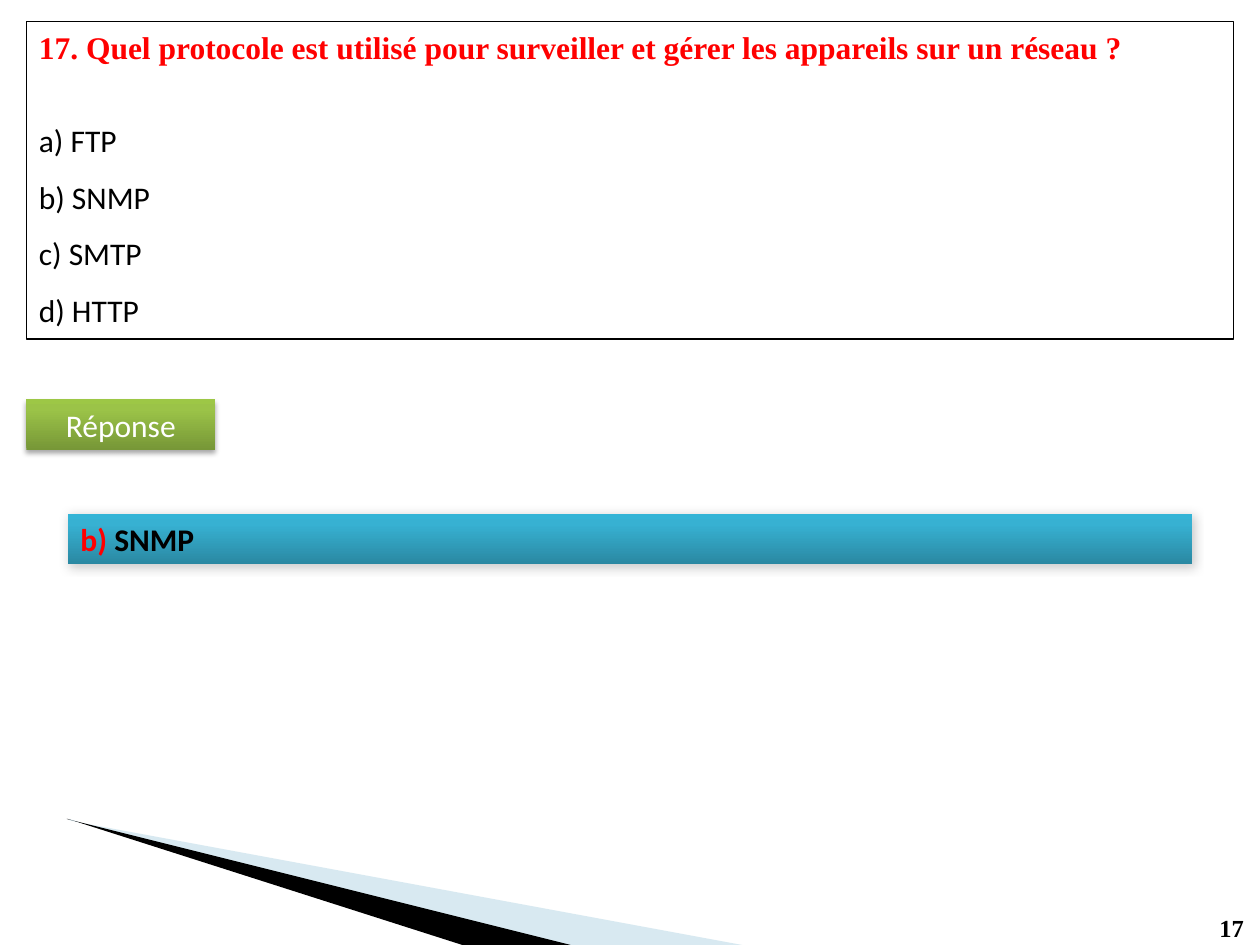
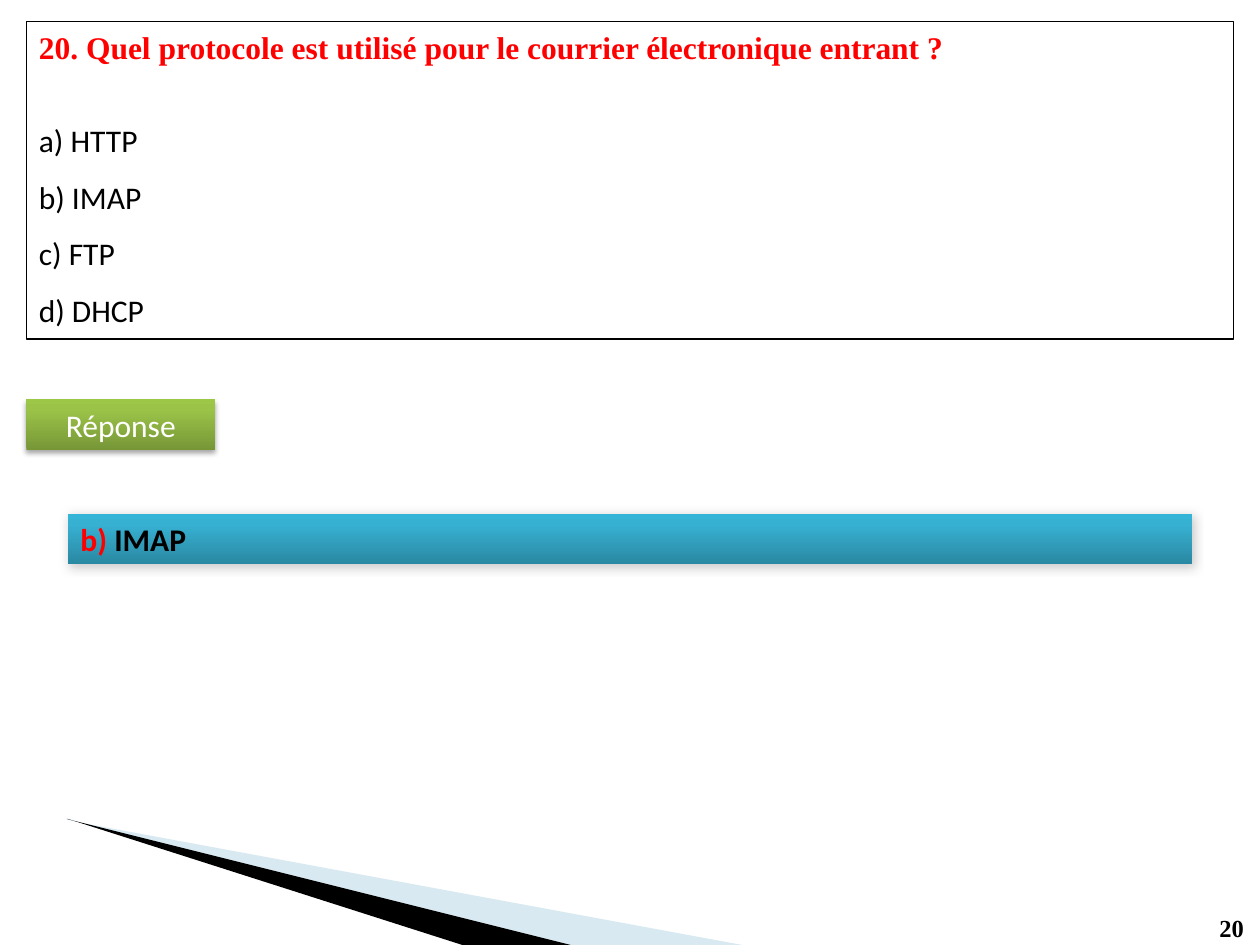
from copy import deepcopy

from lxml import etree
from pptx import Presentation
from pptx.dml.color import RGBColor
from pptx.enum.shapes import MSO_SHAPE
from pptx.enum.text import MSO_ANCHOR, PP_ALIGN
from pptx.oxml.ns import qn
from pptx.util import Inches, Pt

RECTANGLE = MSO_SHAPE.RECTANGLE
TOP = MSO_ANCHOR.TOP
LEFT, CENTER, JUSTIFY = PP_ALIGN.LEFT, PP_ALIGN.CENTER, PP_ALIGN.JUSTIFY

BLACK = RGBColor(0x00, 0x00, 0x00)
WHITE = RGBColor(0xFF, 0xFF, 0xFF)
RED = RGBColor(0xFF, 0x00, 0x00)
PALE_BLUE = RGBColor(0x9F, 0xCA, 0xDC)
GREENS = [RGBColor(0x77, 0x97, 0x37), RGBColor(0x9B, 0xC3, 0x48), RGBColor(0x9D, 0xC7, 0x46)]
BLUES = [RGBColor(0x2A, 0x88, 0xA2), RGBColor(0x37, 0xB1, 0xD2), RGBColor(0x34, 0xB4, 0xD6)]
GRADIENT_POSITIONS = [0, 0.8, 1]

BODY_FONT = "Calibri"
TITLE_FONT = "Times New Roman"

PALE_WEDGE = [
    [(0.64, 6.53), (4.51, 7.5), (5.89, 7.5)],
    [(0.55, 6.5), (0.55, 6.51), (0.64, 6.53)],
]
BLACK_WEDGE = [[(0.53, 6.5), (0.54, 6.5), (3.67, 7.5), (4.53, 7.5)]]

QUESTIONS = [
    (17, "Quel protocole est utilisé pour surveiller et gérer les appareils sur un réseau ?",
     ["FTP", "SNMP", "SMTP", "HTTP"], "b"),
    (20, "Quel protocole est utilisé pour le courrier électronique entrant ?",
     ["HTTP", "IMAP", "FTP", "DHCP"], "b"),
]


class QuizDeck:
    """Builds quiz slides that share one style."""

    def __init__(self):
        self.presentation = Presentation()
        self.presentation.slide_width = Inches(10)
        self.presentation.slide_height = Inches(7.5)
        self.slide = None

    def new_slide(self, number):
        self.slide = self.presentation.slides.add_slide(self.presentation.slide_layouts[6])
        self.wedge(PALE_WEDGE, PALE_BLUE, opacity=40)
        self.wedge(BLACK_WEDGE, BLACK)
        self.page_number(number)

    def wedge(self, contours, color, opacity=100):
        contours = [[(Inches(x), Inches(y)) for x, y in contour] for contour in contours]
        builder = self.slide.shapes.build_freeform(*contours[0][0])
        builder.add_line_segments(contours[0][1:], close=True)
        for contour in contours[1:]:
            builder.move_to(*contour[0])
            builder.add_line_segments(contour[1:], close=True)
        shape = builder.convert_to_shape()
        shape.shadow.inherit = False
        shape.line.fill.background()
        shape.fill.solid()
        shape.fill.fore_color.rgb = color
        if opacity < 100:
            rgb = shape._element.spPr.find(".//" + qn("a:srgbClr"))
            etree.SubElement(rgb, qn("a:alpha"), val=str(opacity * 1000))

    def page_number(self, number):
        box = self.slide.shapes.add_textbox(Inches(9.58), Inches(7.2), Inches(0.4), Inches(0.34))
        box.text_frame.word_wrap = True
        paragraph = box.text_frame.paragraphs[0]
        paragraph.text = str(number)
        self.style(paragraph.font, BLACK, 14, TITLE_FONT, bold=True)

    def style(self, font, color, size=18, name=BODY_FONT, bold=False):
        font.name, font.size, font.bold = name, Pt(size), bold
        font.color.rgb = color

    def rectangle(self, left, top, width, height):
        shape = self.slide.shapes.add_shape(
            RECTANGLE, Inches(left), Inches(top), Inches(width), Inches(height))
        shape.shadow.inherit = False
        shape.text_frame.vertical_anchor = TOP
        return shape

    def question(self, number, text, options):
        shape = self.rectangle(0.21, 0.17, 9.58, 2.52)
        shape.fill.background()
        shape.line.color.rgb = BLACK
        shape.line.width = Pt(0.75)
        frame = shape.text_frame
        title = frame.paragraphs[0]
        title.text = f"{number}. {text}"
        title.alignment = LEFT
        self.style(title.font, RED, name=TITLE_FONT, bold=True)
        for index, (letter, option) in enumerate(zip("abcd", options)):
            paragraph = frame.add_paragraph()
            paragraph.text = f"{letter}) {option}"
            paragraph.alignment = LEFT
            paragraph.line_spacing = 1.5
            paragraph.space_before = Pt(0 if index else 21)
            self.style(paragraph.font, BLACK)

    def gradient_bar(self, left, top, width, colors, shadow):
        shape = self.rectangle(left, top, width, 0.4)
        shape.line.fill.background()
        shape.fill.gradient()
        shape.fill.gradient_angle = 90
        stop_list = shape._element.spPr.find(".//" + qn("a:gsLst"))
        stop_list.append(deepcopy(stop_list[-1]))
        for stop, position, color in zip(shape.fill.gradient_stops, GRADIENT_POSITIONS, colors):
            stop.position = position
            stop.color.rgb = color
        self.drop_shadow(shape, *shadow)
        return shape.text_frame.paragraphs[0]

    def drop_shadow(self, shape, opacity, blur, distance, angle):
        effects = shape._element.spPr.find(qn("a:effectLst"))
        outer = etree.SubElement(
            effects, qn("a:outerShdw"), blurRad=str(Pt(blur)), dist=str(Pt(distance)),
            dir=str(angle * 60000), rotWithShape="0")
        rgb = etree.SubElement(outer, qn("a:srgbClr"), val=str(BLACK))
        etree.SubElement(rgb, qn("a:alpha"), val=str(opacity * 1000))

    def answer_label(self):
        paragraph = self.gradient_bar(0.21, 3.17, 1.5, GREENS, (35, 3.1, 1.8, 90))
        paragraph.text = "Réponse"
        paragraph.alignment = CENTER
        self.style(paragraph.font, WHITE)

    def answer(self, letter, text):
        paragraph = self.gradient_bar(0.54, 4.08, 8.92, BLUES, (20, 6, 1, 45))
        paragraph.alignment = JUSTIFY
        for part, color in ((f"{letter}) ", RED), (text, BLACK)):
            run = paragraph.add_run()
            run.text = part
            self.style(run.font, color, bold=True)


def main():
    deck = QuizDeck()
    for number, text, options, letter in QUESTIONS:
        deck.new_slide(number)
        deck.question(number, text, options)
        deck.answer_label()
        deck.answer(letter, options["abcd".index(letter)])
    deck.presentation.save("out.pptx")


if __name__ == "__main__":
    main()
